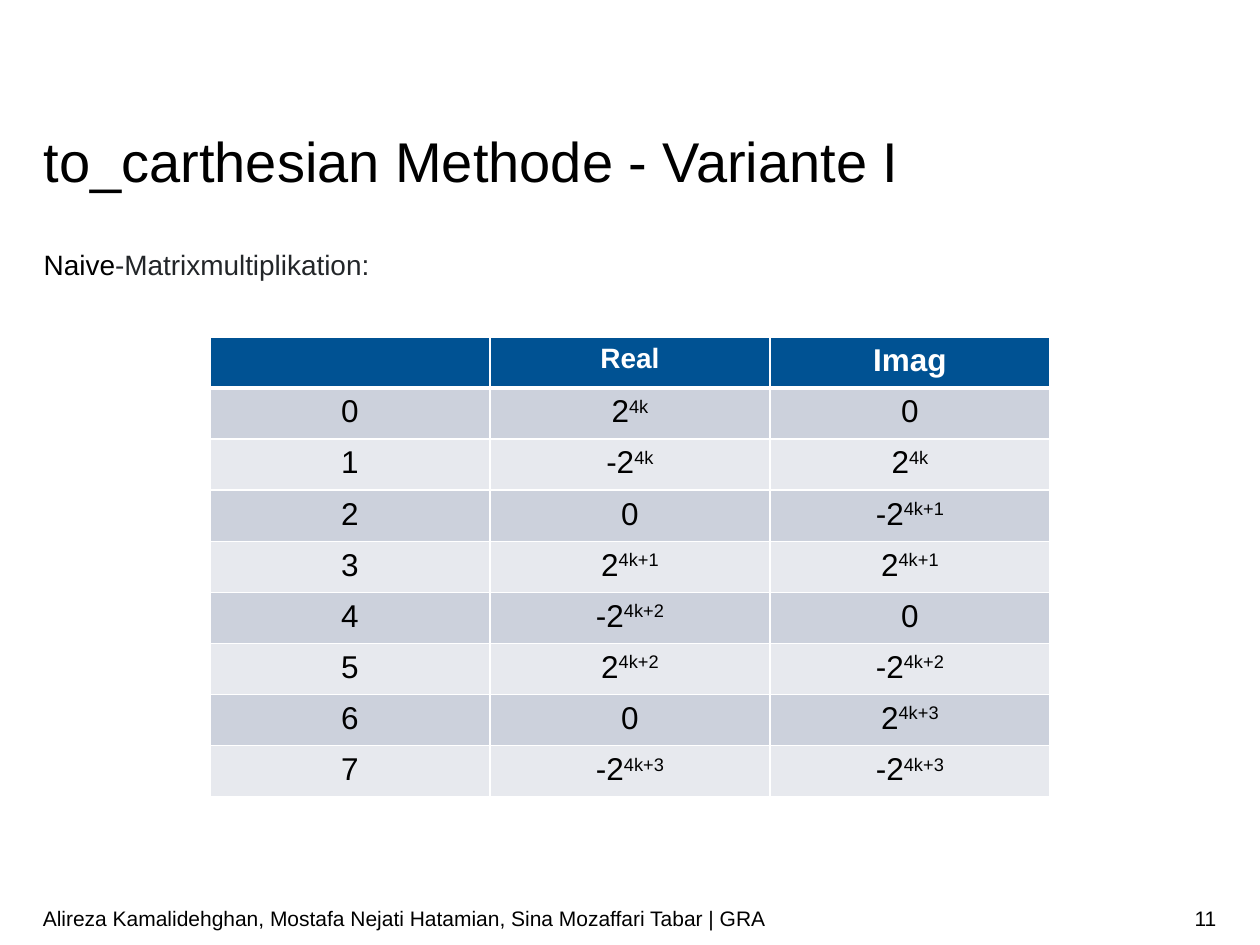
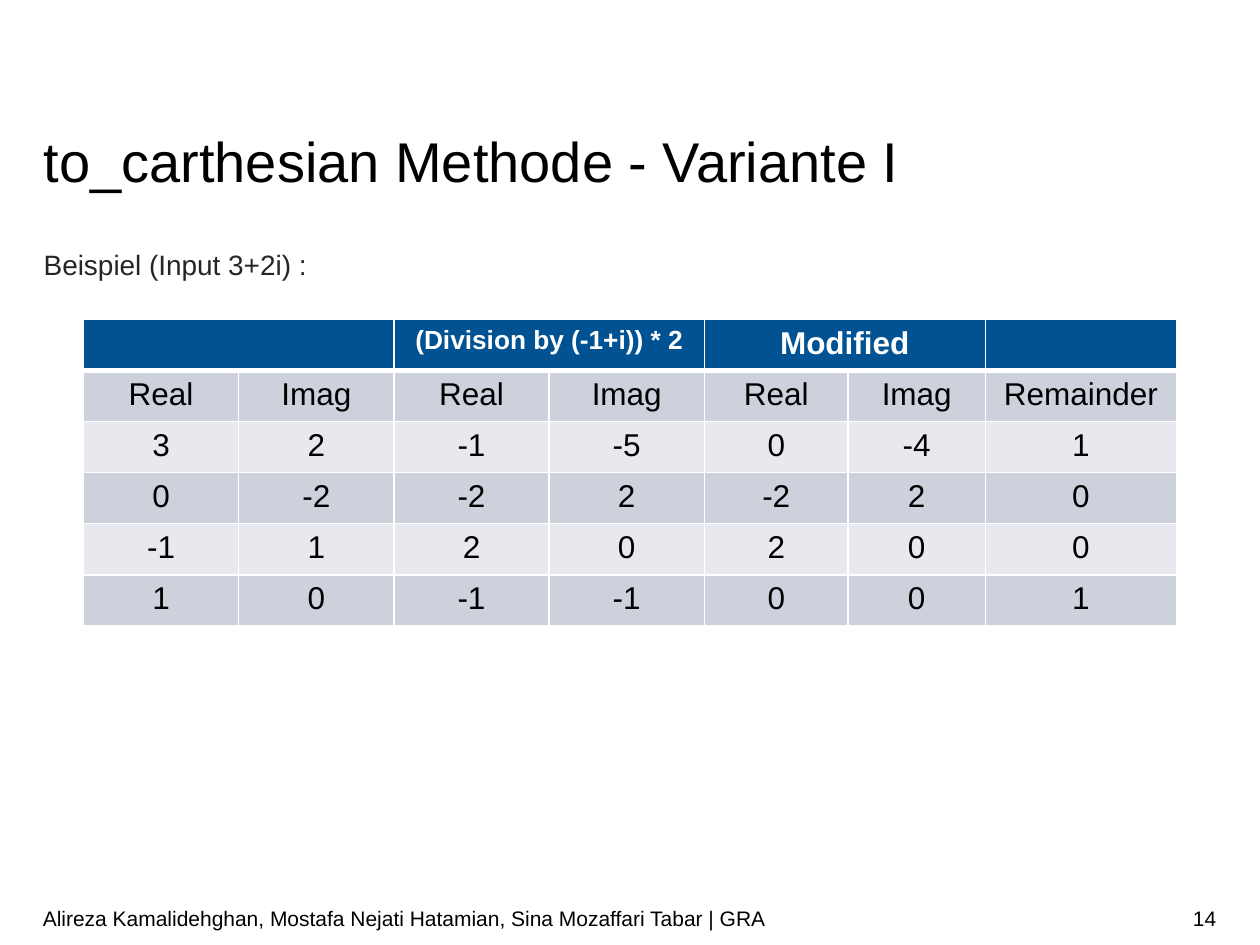
from pptx import Presentation
from pptx.dml.color import RGBColor
from pptx.enum.text import MSO_ANCHOR as Anchor, PP_ALIGN as Align
from pptx.oxml import parse_xml
from pptx.oxml.ns import nsdecls
from pptx.util import Pt

FONT = "Arial"
BLACK, WHITE, GREY, BLUE = "000000", "FFFFFF", "232629", "005293"
BANDS = ["CCD1DC", "E7E9EE"]
TITLE = "to_carthesian Methode - Variante I"
FOOTER = "Alireza Kamalidehghan, Mostafa Nejati Hatamian, Sina Mozaffari Tabar | GRA"
ROW_HEIGHT = 29.2


def write(paragraph, parts, size, align=Align.LEFT, bold=False):
    paragraph.alignment = align
    for text, color, baseline in parts:
        run = paragraph.add_run()
        run.text = text
        run.font.name = FONT
        run.font.size = Pt(size)
        run.font.bold = bold
        run.font.color.rgb = RGBColor.from_string(color)
        if baseline:
            run._r.get_or_add_rPr().set("baseline", str(baseline))


def add_text(slide, box, parts, size, spacing=None, align=Align.LEFT, anchor=Anchor.TOP, pad=0):
    frame = slide.shapes.add_textbox(*map(Pt, box)).text_frame
    frame.word_wrap = True
    frame.vertical_anchor = anchor
    frame.margin_left = frame.margin_right = 0
    frame.margin_top = frame.margin_bottom = Pt(pad)
    paragraph = frame.paragraphs[0]
    if spacing:
        paragraph.line_spacing = spacing
    write(paragraph, parts, size, align)


pages = [
    {
        "number": "11",
        "intro": [("Naive", BLACK, 0), ("-Matrixmultiplikation:", GREY, 0)],
        "corner": (120, 192.5),
        "widths": [160] * 3,
        "header": [("", 18, 1), ("Real", 16, 1), ("Imag", 18, 1)],
        "rows": [
            ["0", "2^4k", "0"],
            ["1", "-2^4k", "2^4k"],
            ["2", "0", "-2^4k+1"],
            ["3", "2^4k+1", "2^4k+1"],
            ["4", "-2^4k+2", "0"],
            ["5", "2^4k+2", "-2^4k+2"],
            ["6", "0", "2^4k+3"],
            ["7", "-2^4k+3", "-2^4k+3"],
        ],
    },
    {
        "number": "14",
        "intro": [("Beispiel (Input 3+2i) :", GREY, 0)],
        "corner": (47.7, 182.5),
        "widths": [88.7] * 4 + [82.2, 78.4, 109.3],
        "header": [("", 18, 2), ("(Division by (-1+i)) * 2", 15, 2), ("Modified", 18, 2), ("", 18, 1)],
        "rows": [
            ["Real", "Imag"] * 3 + ["Remainder"],
            ["3", "2", "-1", "-5", "0", "-4", "1"],
            ["0", "-2", "-2", "2", "-2", "2", "0"],
            ["-1", "1", "2", "0", "2", "0", "0"],
            ["1", "0", "-1", "-1", "0", "0", "1"],
        ],
    },
]

deck = Presentation()
deck.slide_width, deck.slide_height = Pt(720), Pt(540)

for page in pages:
    slide = deck.slides.add_slide(deck.slide_layouts[6])
    add_text(slide, (25, 78.5, 670, 32.4), [(TITLE, BLACK, 0)], 32, spacing=Pt(32))
    add_text(slide, (25, 139, 670, 370), page["intro"], 16, spacing=1.14)
    add_text(slide, (24.5, 510, 509, 28.8), [(FOOTER, BLACK, 0)], 12, anchor=Anchor.MIDDLE, pad=3.6)
    add_text(slide, (533.5, 510, 161.5, 28.8), [(page["number"], BLACK, 0)], 12,
             align=Align.RIGHT, anchor=Anchor.MIDDLE, pad=3.6)

    widths, rows = page["widths"], page["rows"]
    row_count = len(rows) + 1
    size = sum(widths), ROW_HEIGHT * row_count
    table = slide.shapes.add_table(row_count, len(widths), *map(Pt, page["corner"] + size)).table
    for column, width in zip(table.columns, widths):
        column.width = Pt(width)

    for index, row in enumerate(table.rows):
        row.height = Pt(ROW_HEIGHT)
        for cell in row.cells:
            for side in "LRTB":
                thick = (index, side) in [(0, "B"), (1, "T")]
                cell._tc.get_or_add_tcPr().append(parse_xml(
                    f'<a:ln{side} {nsdecls("a")} w="{Pt(3 if thick else 1)}"><a:solidFill>'
                    f'<a:srgbClr val="{WHITE}"/></a:solidFill></a:ln{side}>'))
            cell.fill.solid()
            cell.fill.fore_color.rgb = RGBColor.from_string(BANDS[(index - 1) % 2] if index else BLUE)

    start = 0
    for heading, heading_size, span in page["header"]:
        cell = table.cell(0, start)
        if span > 1:
            cell.merge(table.cell(0, start + span - 1))
        if heading:
            write(cell.text_frame.paragraphs[0], [(heading, WHITE, 0)], heading_size, Align.CENTER, True)
        start += span

    for row_index, values in enumerate(rows, 1):
        for column_index, value in enumerate(values):
            base, _, exponent = value.partition("^")
            parts = [(base, BLACK, 0)]
            if exponent:
                parts.append((exponent, BLACK, 30000))
            write(table.cell(row_index, column_index).text_frame.paragraphs[0], parts, 18, Align.CENTER)

deck.save("out.pptx")
